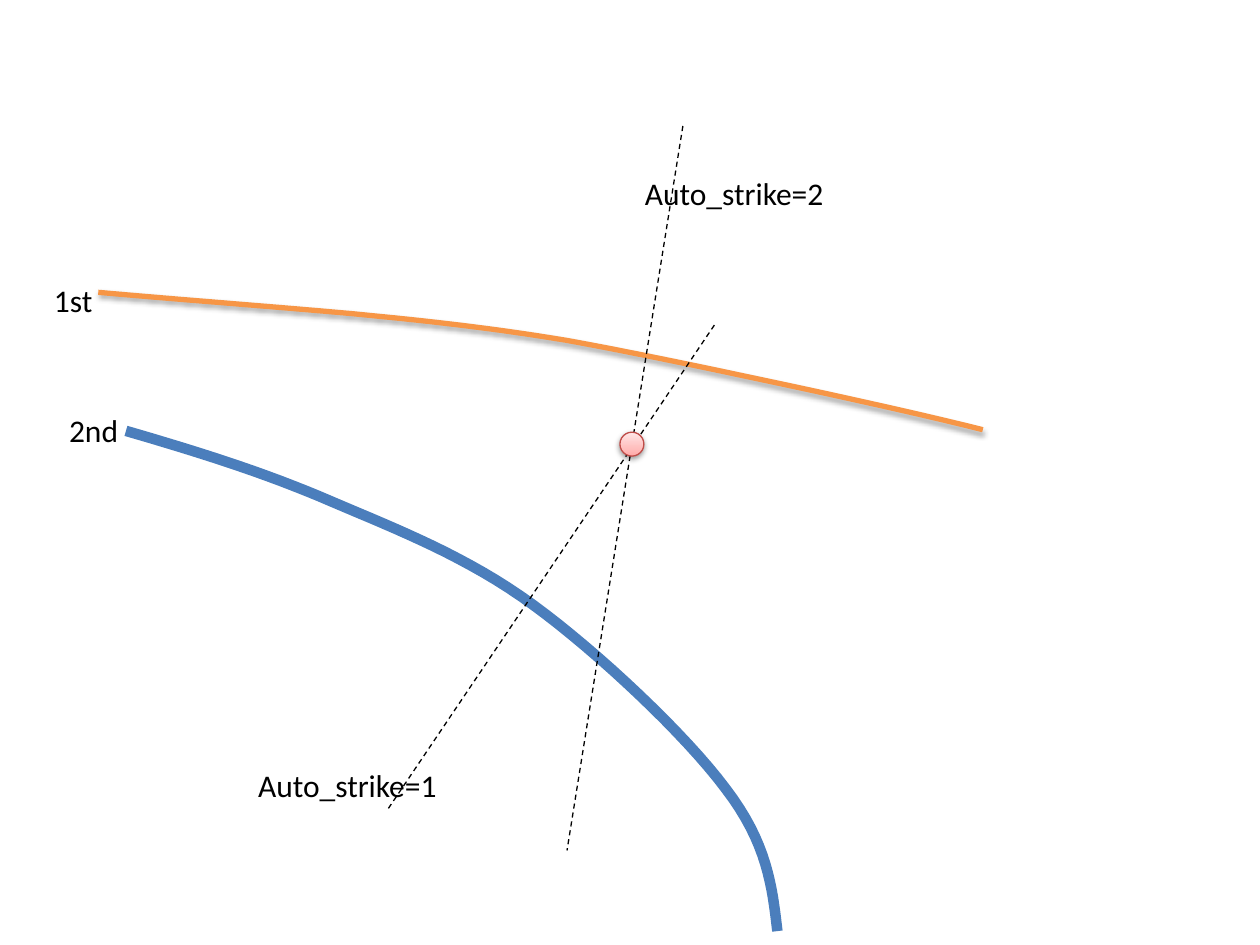
from copy import deepcopy

from lxml import etree
from pptx import Presentation
from pptx.dml.color import RGBColor
from pptx.enum.dml import MSO_LINE
from pptx.enum.shapes import MSO_CONNECTOR, MSO_SHAPE
from pptx.enum.text import MSO_AUTO_SIZE
from pptx.oxml.ns import qn
from pptx.util import Pt

PX = 9144  # EMU per px, 100 px to the inch
STRAIGHT = MSO_CONNECTOR.STRAIGHT
OVAL = MSO_SHAPE.OVAL
DASH = MSO_LINE.DASH
FIT_SHAPE = MSO_AUTO_SIZE.SHAPE_TO_FIT_TEXT

BLACK = RGBColor(0x00, 0x00, 0x00)
BLUE = RGBColor(0x4B, 0x7E, 0xBC)
ORANGE = RGBColor(0xF7, 0x96, 0x46)
RED = RGBColor(0xBF, 0x4C, 0x48)
PINKS = (
    (0, RGBColor(0xFF, 0xA6, 0xA5)),
    (0.35, RGBColor(0xFF, 0xC0, 0xBF)),
    (1, RGBColor(0xFF, 0xE7, 0xE7)),
)

# Each curve is a start point, then (control, control, end) for each segment
SECOND_CURVE = [
    (100, 342),
    ((155, 358), (210, 375), (263, 398)),
    ((317, 421), (371, 442), (423, 480)),
    ((475, 518), (544, 583), (576, 626)),
    ((609, 669), (613, 704), (617, 739)),
]
FIRST_CURVE = [
    (78, 232),
    ((145, 238), (213, 243), (280, 249)),
    ((342, 255), (388, 260), (449, 270)),
    ((510, 281), (589, 298), (645, 310)),
    ((700, 322), (740, 331), (780, 341)),
]
STRIKE_LINES = [
    ((542, 100), (450, 675)),
    ((567, 258), (308, 642)),
]
LABELS = [
    ("1st", 33, 218, 51),
    ("2nd", 45, 321, 60),
    ("Auto_strike=2", 502, 133, 163),
    ("Auto_strike=1", 195, 603, 163),
]


def px(*lengths):
    return [round(length * PX) for length in lengths]


def bezier_points(curve, steps=16):
    start, *segments = curve
    points = []
    for first, second, end in segments:
        for step in range(1, steps + 1):
            t = step / steps
            weights = ((1 - t) ** 3, 3 * t * (1 - t) ** 2,
                       3 * t ** 2 * (1 - t), t ** 3)
            corners = (start, first, second, end)
            points.append(tuple(
                sum(w * corner[axis] for w, corner in zip(weights, corners))
                for axis in (0, 1)))
        start = end
    return points


def set_line(line, color, width, dash=None):
    line.color.rgb = color
    line.width = Pt(width)
    if dash is not None:
        line.dash_style = dash


def add_shadow(shape, distance, opacity):
    shape.shadow.inherit = False
    effects = shape.element.spPr.find(qn("a:effectLst"))
    shadow = etree.SubElement(
        effects, qn("a:outerShdw"), blurRad=str(Pt(3.1)),
        dist=str(Pt(distance)), dir="5400000", rotWithShape="0")
    color = etree.SubElement(shadow, qn("a:srgbClr"), val=str(BLACK))
    etree.SubElement(color, qn("a:alpha"), val=str(opacity * 1000))


def add_curve(slide, curve, color, width):
    builder = slide.shapes.build_freeform(*px(*curve[0]), scale=1)
    builder.add_line_segments(
        [px(*point) for point in bezier_points(curve)], close=False)
    shape = builder.convert_to_shape()
    shape.fill.background()
    set_line(shape.line, color, width)
    shape.shadow.inherit = False
    return shape


def add_dashed_line(slide, start, end):
    line = slide.shapes.add_connector(STRAIGHT, *px(*start, *end))
    set_line(line.line, BLACK, 0.75, DASH)
    etree.SubElement(line.element.spPr, qn("a:effectLst"))


def add_text(slide, text, left, top, width, height=40, *,
             size=18, font="Calibri", color=BLACK):
    label = slide.shapes.add_textbox(*px(left, top, width, height))
    frame = label.text_frame
    frame.word_wrap = False
    frame.auto_size = FIT_SHAPE
    run = frame.paragraphs[0].add_run()
    run.text = text
    run.font.size = Pt(size)
    run.font.name = font
    run.font.color.rgb = color


def add_ball(slide, left, top, diameter):
    ball = slide.shapes.add_shape(OVAL, *px(left, top, diameter, diameter))
    ball.fill.gradient()
    ball.fill.gradient_angle = 90
    # The default gradient has two stops; a third goes between them
    stop_list = ball.element.spPr.find(f"{qn('a:gradFill')}/{qn('a:gsLst')}")
    stop_list.insert(1, deepcopy(stop_list[0]))
    for stop, (position, color) in zip(ball.fill.gradient_stops, PINKS):
        stop.position = position
        stop.color.rgb = color
    set_line(ball.line, RED, 0.75)
    add_shadow(ball, distance=1.6, opacity=38)


def main():
    deck = Presentation()
    deck.slide_width, deck.slide_height = px(1000, 750)
    slide = deck.slides.add_slide(deck.slide_layouts[6])

    # Curves
    add_curve(slide, SECOND_CURVE, BLUE, 6)
    first = add_curve(slide, FIRST_CURVE, ORANGE, 3)
    add_shadow(first, distance=1.8, opacity=35)

    # Strike lines and labels
    for start, end in STRIKE_LINES:
        add_dashed_line(slide, start, end)
    for label in LABELS:
        add_text(slide, *label)

    # Ball where the strike lines cross
    add_ball(slide, 492, 343, 19)

    deck.save("out.pptx")


if __name__ == "__main__":
    main()
